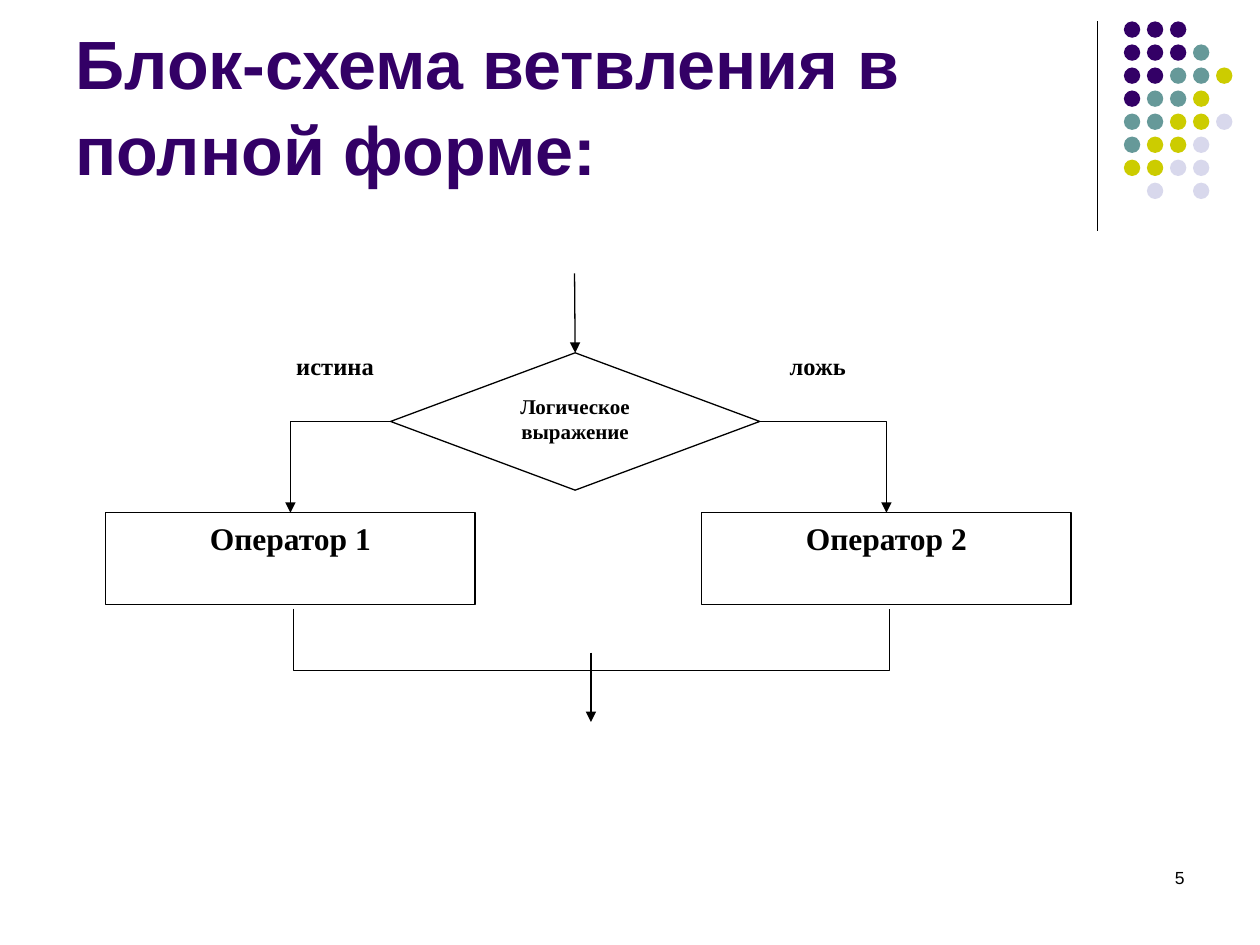
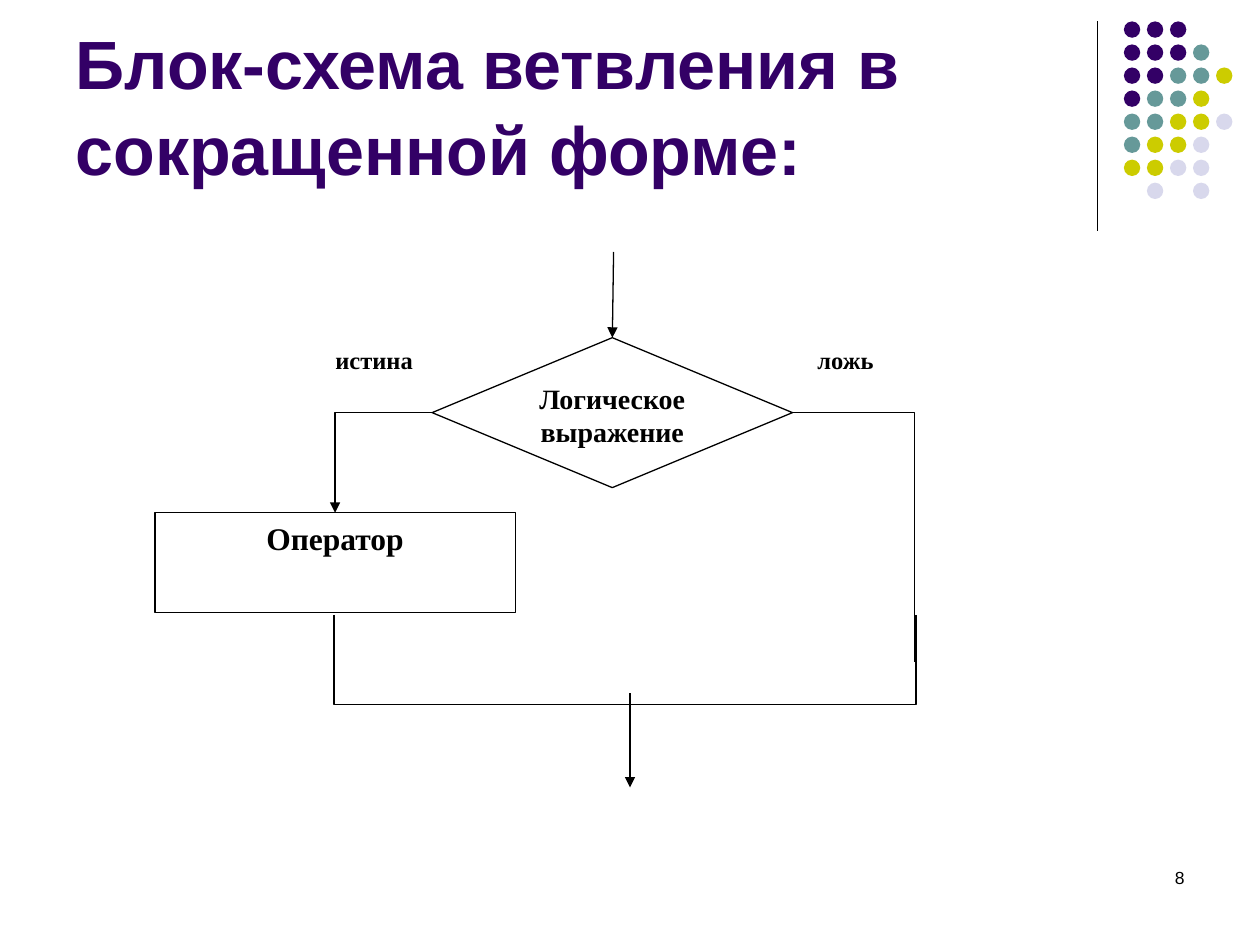
from dataclasses import dataclass

from lxml.etree import SubElement
from pptx import Presentation
from pptx.dml.color import RGBColor
from pptx.enum.shapes import MSO_CONNECTOR as CXN, MSO_SHAPE as SHAPE
from pptx.enum.text import MSO_ANCHOR as ANCHOR, MSO_AUTO_SIZE as AUTO, PP_ALIGN as ALIGN
from pptx.oxml.ns import qn
from pptx.util import Inches, Pt


@dataclass(frozen=True)
class Theme:
    black: RGBColor = RGBColor.from_string("000000")
    white: RGBColor = RGBColor.from_string("FFFFFF")
    purple: RGBColor = RGBColor.from_string("330066")
    teal: RGBColor = RGBColor.from_string("669999")
    lime: RGBColor = RGBColor.from_string("CCCC00")
    pale: RGBColor = RGBColor.from_string("D8D8EC")
    sans: str = "Arial"
    serif: str = "Times New Roman"
    title: int = 39
    operator: int = 18
    label: int = 14
    number: int = 10
    line: float = 0.75


T = Theme()
DOT_ROWS = ["PPP", "PPPT", "PPTTL", "PTTL", "TTLLG", "TLLG", "LLGG", " G G"]
DOT_COLORS = {"P": T.purple, "T": T.teal, "L": T.lime, "G": T.pale}
DOT_LEFT, DOT_TOP, DOT_SIZE, DOT_PITCH = 8.92, 0.17, 0.13, 1.28 / 7
TOP, LEFT, RIGHT = 0, 1, 3

SLIDES = [
    dict(
        title="Блок-схема ветвления в полной форме:",
        number="5",
        condition=("Логическое\nвыражение", 12, (3.1, 2.8, 2.93, 1.09)),
        operators=[
            ("Оператор 1", LEFT, (0.84, 4.07, 2.93, 0.73)),
            ("Оператор 2", RIGHT, (5.57, 4.07, 2.93, 0.73)),
        ],
        labels=[("истина", (2.21, 2.74, 0.9, 0.55)), ("ложь", (6.04, 2.74, 0.9, 0.55))],
        entry=(4.56, 2.17),
        bypass=None,
        join=(2.33, 7.06, 4.83, 5.32),
        exit=(4.69, 5.18, 5.73),
    ),
    dict(
        title="Блок-схема ветвления в сокращенной форме:",
        number="8",
        condition=("Логическое\nвыражение", 16, (3.43, 2.68, 2.86, 1.19)),
        operators=[("Оператор", LEFT, (1.23, 4.07, 2.86, 0.79))],
        labels=[("истина", (2.53, 2.69, 0.88, 0.57)), ("ложь", (6.27, 2.69, 0.88, 0.57))],
        entry=(4.87, 2),
        bypass=(7.26, 5.25),
        join=(2.65, 7.27, 4.88, 5.59),
        exit=(5, 5.5, 6.25),
    ),
]


def inches(*values):
    return [Inches(v) for v in values]


def write(sp, text, size, font=T.serif, color=T.black, bold=True,
          align=ALIGN.CENTER, anchor=ANCHOR.TOP, before=0):
    tf = sp.text_frame
    tf.word_wrap = True
    tf.auto_size = AUTO.NONE
    tf.vertical_anchor = anchor
    p = tf.paragraphs[0]
    p.text = text
    p.alignment = align
    p.space_before = Pt(before)
    p.font.size = Pt(size)
    p.font.name = font
    p.font.bold = bold
    p.font.color.rgb = color
    return p


def outline(sp):
    sp.line.color.rgb = T.black
    sp.line.width = Pt(T.line)


def add_block(s, kind, box):
    sp = s.shapes.add_shape(kind, *inches(*box))
    sp.shadow.inherit = False
    sp.fill.solid()
    sp.fill.fore_color.rgb = T.white
    outline(sp)
    return sp


def add_line(s, start, end, arrow=False, kind=CXN.STRAIGHT):
    c = s.shapes.add_connector(kind, *inches(*start, *end))
    outline(c)
    sp_pr = c.element.spPr
    if arrow:
        SubElement(sp_pr.find(qn("a:ln")), qn("a:tailEnd"), type="triangle")
    SubElement(sp_pr, qn("a:effectLst"))
    return c


def add_polyline(s, *points):
    start, *rest = [inches(*pt) for pt in points]
    fb = s.shapes.build_freeform(*start)
    fb.add_line_segments(rest, close=False)
    sp = fb.convert_to_shape()
    sp.shadow.inherit = False
    sp.fill.background()
    outline(sp)


def add_frame(s, title, number):
    add_line(s, (8.71, 0.17), (8.71, 1.83))
    for row, codes in enumerate(DOT_ROWS):
        for col, code in enumerate(codes):
            if code in DOT_COLORS:
                dot = s.shapes.add_shape(SHAPE.OVAL, *inches(
                    DOT_LEFT + col * DOT_PITCH, DOT_TOP + row * DOT_PITCH, DOT_SIZE, DOT_SIZE))
                dot.shadow.inherit = False
                dot.fill.solid()
                dot.fill.fore_color.rgb = DOT_COLORS[code]
                dot.line.fill.background()
    sp = s.shapes.title
    sp.left, sp.top, sp.width, sp.height = inches(0.5, 0.13, 8.25, 1.42)
    p = write(sp, title, T.title, T.sans, T.purple, align=ALIGN.LEFT, anchor=ANCHOR.BOTTOM)
    p.line_spacing = 1.05
    write(s.shapes.add_textbox(*inches(7.17, 6.83, 2.33, 0.5)), number, T.number,
          T.sans, bold=False, align=ALIGN.RIGHT)


def add_flowchart(s, d):
    text, size, box = d["condition"]
    x, y, w, h = box
    middle = y + h / 2
    corner = {LEFT: (x, middle), RIGHT: (x + w, middle)}
    condition = add_block(s, SHAPE.FLOWCHART_DECISION, box)
    write(condition, text, size, before=3)
    add_line(s, d["entry"], (x + w / 2, y), arrow=True).end_connect(condition, TOP)

    for text, side, box in d["operators"]:
        operator = add_block(s, SHAPE.FLOWCHART_PROCESS, box)
        write(operator, text, T.operator, before=6)
        c = add_line(s, corner[side], (box[0] + box[2] / 2, box[1]), True, CXN.ELBOW)
        c.element.spPr.find(qn("a:prstGeom")).set("prst", "bentConnector2")
        c.begin_connect(condition, side)
        c.end_connect(operator, TOP)

    for text, box in d["labels"]:
        write(s.shapes.add_textbox(*inches(*box)), text, T.label, before=6)

    if d["bypass"]:
        add_polyline(s, corner[RIGHT], (d["bypass"][0], middle), d["bypass"])
    left, right, top, bottom = d["join"]
    add_polyline(s, (left, top), (left, bottom), (right, bottom), (right, top))
    x, top, bottom = d["exit"]
    add_line(s, (x, top), (x, bottom), arrow=True)


def main():
    prs = Presentation()
    prs.slide_width, prs.slide_height = inches(10, 7.5)
    for d in SLIDES:
        s = prs.slides.add_slide(prs.slide_layouts[5])
        add_frame(s, d["title"], d["number"])
        add_flowchart(s, d)
    prs.save("out.pptx")


if __name__ == "__main__":
    main()
